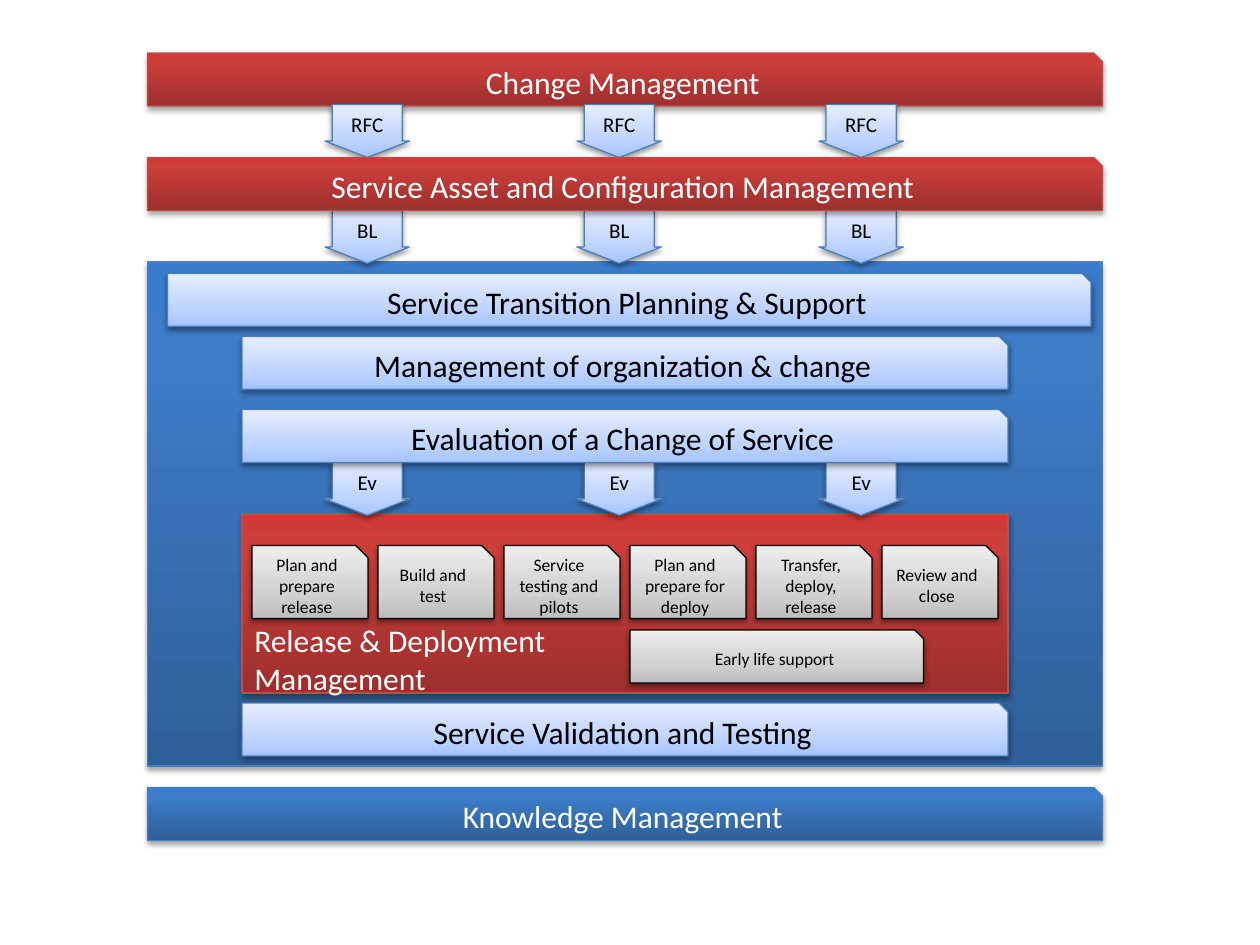
from copy import deepcopy

from lxml.etree import SubElement
from pptx import Presentation
from pptx.dml.color import RGBColor
from pptx.enum.shapes import MSO_SHAPE
from pptx.enum.text import MSO_ANCHOR, MSO_AUTO_SIZE, PP_ALIGN
from pptx.oxml.ns import qn
from pptx.util import Inches, Pt

COLORS = {
    "black": "000000",
    "white": "FFFFFF",
    "blue_line": "4B7EBC",
    "red_line": "BF4C48",
    "blue_low": "2F5F99", "blue_mid": "3D7CC7", "blue_high": "3A7CCB",
    "red_low": "9C2F2D", "red_mid": "CB3E3A", "red_high": "CE3B37",
    "pale_low": "A4C4FF", "pale_mid": "BFD4FF", "pale_high": "E6EEFF",
    "gray_low": "BDBDBD", "gray_mid": "D1D1D1", "gray_high": "EEEEEE",
}
# theme: middle stop, line, text, shadow opacity in percent, shadow distance
THEMES = {
    "blue": (0.8, "blue_line", "white", 35, 1.8),
    "red": (0.8, "red_line", "white", 35, 1.8),
    "pale": (0.35, "blue_line", "black", 38, 1.6),
    "gray": (0.35, "black", "black", 38, 1.6),
}
BAR_H = 0.42
WIDE = (1.17, 7.58)
INNER = (1.92, 6.08)
ARROW_LEFTS = (2.58, 4.58, 6.5)
STEPS = (
    "Plan and prepare release",
    "Build and test",
    "Service testing and pilots",
    "Plan and prepare for deploy",
    "Transfer, deploy, release",
    "Review and close",
)


def rgb(name):
    return RGBColor.from_string(COLORS[name])


def fill_gradient(sp, theme, middle):
    sp.fill.gradient()
    sp.fill.gradient_angle = 90
    first = sp._element.spPr.find(".//" + qn("a:gs"))
    first.addnext(deepcopy(first))
    levels = (("low", 0), ("mid", middle), ("high", 1))
    for stop, (level, position) in zip(sp.fill.gradient_stops, levels):
        stop.color.rgb = rgb(f"{theme}_{level}")
        stop.position = position


def add_shadow(sp, opacity, distance):
    sp.shadow.inherit = False
    effects = sp._element.spPr.find(qn("a:effectLst"))
    shadow = SubElement(effects, qn("a:outerShdw"), blurRad=str(Pt(3.1)),
                        dist=str(Pt(distance)), dir="5400000", rotWithShape="0")
    color = SubElement(shadow, qn("a:srgbClr"), val=COLORS["black"])
    SubElement(color, qn("a:alpha"), val=str(opacity * 1000))


def format_text(tf, text, size, color, align):
    tf.text = text
    for p in tf.paragraphs:
        p.alignment = align
        for r in p.runs:
            r.font.name = "Calibri"
            r.font.size = Pt(size)
            r.font.color.rgb = rgb(color)


def add_block(s, kind, left, top, width, height, theme, text="", size=18):
    middle, line, color, opacity, distance = THEMES[theme]
    sp = s.shapes.add_shape(kind, Inches(left), Inches(top),
                            Inches(width), Inches(height))
    fill_gradient(sp, theme, middle)
    sp.line.color.rgb = rgb(line)
    sp.line.width = Pt(0.75)
    add_shadow(sp, opacity, distance)
    if text:
        sp.text_frame.vertical_anchor = MSO_ANCHOR.MIDDLE
        format_text(sp.text_frame, text, size, color, PP_ALIGN.CENTER)
    return sp


def add_bar(s, span, top, theme, text, size=18, height=BAR_H):
    left, width = span
    add_block(s, MSO_SHAPE.SNIP_1_RECTANGLE, left, top, width, height,
              theme, text, size)


def add_panel(s, span, top, height, theme):
    left, width = span
    add_block(s, MSO_SHAPE.RECTANGLE, left, top, width, height, theme)


def add_arrows(s, top, text):
    for left in ARROW_LEFTS:
        sp = add_block(s, MSO_SHAPE.DOWN_ARROW, left, top, 0.67, BAR_H,
                       "pale", text, 12)
        sp.adjustments[0] = 0.83
        sp.adjustments[1] = 0.31


def add_label(s, left, top, width, height, text):
    tf = s.shapes.add_textbox(Inches(left), Inches(top),
                              Inches(width), Inches(height)).text_frame
    tf.word_wrap = False
    tf.auto_size = MSO_AUTO_SIZE.SHAPE_TO_FIT_TEXT
    format_text(tf, text, 18, "white", PP_ALIGN.LEFT)


def main():
    prs = Presentation()
    prs.slide_width = Inches(10)
    prs.slide_height = Inches(7.5)
    s = prs.slides.add_slide(prs.slide_layouts[6])

    add_panel(s, WIDE, 2.08, 4, "blue")
    add_panel(s, INNER, 4.08, 1.42, "red")
    for i, step in enumerate(STEPS):
        add_bar(s, (2 + i, 0.92), 4.33, "gray", step, 10, 0.58)
    add_bar(s, (5, 2.33), 5, "gray", "Early life support", 10)

    add_bar(s, INNER, 5.58, "pale", "Service Validation and Testing")
    add_bar(s, INNER, 2.67, "pale", "Management of organization & change")
    add_bar(s, (1.33, 7.33), 2.17, "pale", "Service Transition Planning & Support")
    add_bar(s, WIDE, 6.25, "blue", "Knowledge Management")
    add_bar(s, WIDE, 0.42, "red", "Change Management")

    add_arrows(s, 0.83, "RFC")
    add_label(s, 1.92, 4.88, 2.54, 0.71, "Release & Deployment\nManagement")
    add_arrows(s, 3.67, "Ev")
    add_arrows(s, 1.67, "BL")
    add_bar(s, INNER, 3.25, "pale", "Evaluation of a Change of Service")
    add_bar(s, WIDE, 1.25, "red", "Service Asset and Configuration Management")

    prs.save("out.pptx")


if __name__ == "__main__":
    main()
